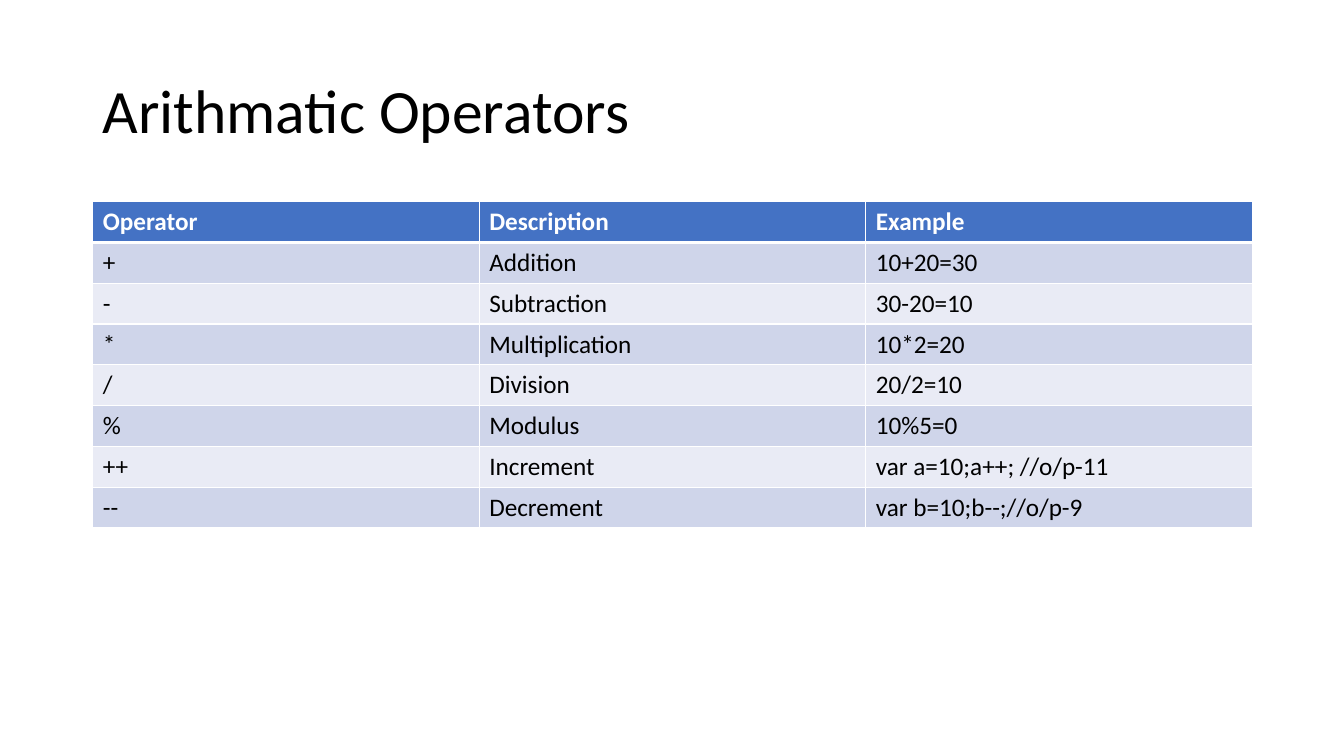
import pptx
import pptx.dml.color
import pptx.enum.text
import pptx.oxml
import pptx.oxml.ns
import pptx.util
from pptx.util import Inches

RGBColor = pptx.dml.color.RGBColor
WHITE = RGBColor(0xFF, 0xFF, 0xFF)
BLACK = RGBColor(0x00, 0x00, 0x00)
BLUE = RGBColor(0x44, 0x72, 0xC4)
BANDS = (RGBColor(0xCF, 0xD5, 0xEA), RGBColor(0xE9, 0xEB, 0xF5))

ROWS = [
    ("Operator", "Description", "Example"),
    ("+", "Addition", "10+20=30"),
    ("-", "Subtraction", "30-20=10"),
    ("*", "Multiplication", "10*2=20"),
    ("/", "Division", "20/2=10"),
    ("%", "Modulus", "10%5=0"),
    ("++", "Increment", "var a=10;a++; //o/p-11"),
    ("--", "Decrement", "var b=10;b--;//o/p-9"),
]


class Deck:
    """Holds the font and the current slide."""

    def __init__(self, slide, font):
        self.slide = slide
        self.font = font

    def label(self, frame, text, size, color, bold=False):
        para = frame.paragraphs[0]
        run = para.add_run()
        run.text = text
        look = {"name": self.font, "size": pptx.util.Pt(size), "bold": bold}
        for key, value in look.items():
            setattr(run.font, key, value)
        run.font.color.rgb = color
        return para

    def title(self, text, left, top, width, height):
        box = self.slide.shapes.add_textbox(
            Inches(left), Inches(top), Inches(width), Inches(height))
        frame = box.text_frame
        frame.word_wrap = True
        frame.vertical_anchor = pptx.enum.text.MSO_ANCHOR.MIDDLE
        self.label(frame, text, 44, BLACK).line_spacing = 0.9

    def edge(self, cell, side, width):
        line = pptx.oxml.parse_xml(
            f'<a:ln{side} {pptx.oxml.ns.nsdecls("a")} w="{pptx.util.Pt(width)}">'
            f'<a:solidFill><a:srgbClr val="{WHITE}"/></a:solidFill></a:ln{side}>')
        cell._tc.get_or_add_tcPr().append(line)

    def table(self, rows, left, top, width, height):
        grid = self.slide.shapes.add_table(
            len(rows), len(rows[0]), Inches(left), Inches(top),
            Inches(width), Inches(height)).table
        for r, row in enumerate(rows):
            head = r == 0
            # The line under the header is thicker
            edges = {"L": 1, "R": 1, "T": 3 if r == 1 else 1, "B": 3 if head else 1}
            for c, text in enumerate(row):
                cell = grid.cell(r, c)
                for side, size in edges.items():
                    self.edge(cell, side, size)
                cell.fill.solid()
                cell.fill.fore_color.rgb = BLUE if head else BANDS[(r - 1) % 2]
                self.label(cell.text_frame, text, 18, WHITE if head else BLACK, head)


def main():
    prs = pptx.Presentation()
    prs.slide_width = Inches(13.33)
    prs.slide_height = Inches(7.5)
    deck = Deck(prs.slides.add_slide(prs.slide_layouts[6]), "Calibri")

    # Heading
    deck.title("Arithmatic Operators", 0.92, 0.4, 11.5, 1.45)

    # Table of operators
    deck.table(ROWS, 0.92, 2, 11.5, 3.24)

    prs.save("out.pptx")


if __name__ == "__main__":
    main()
